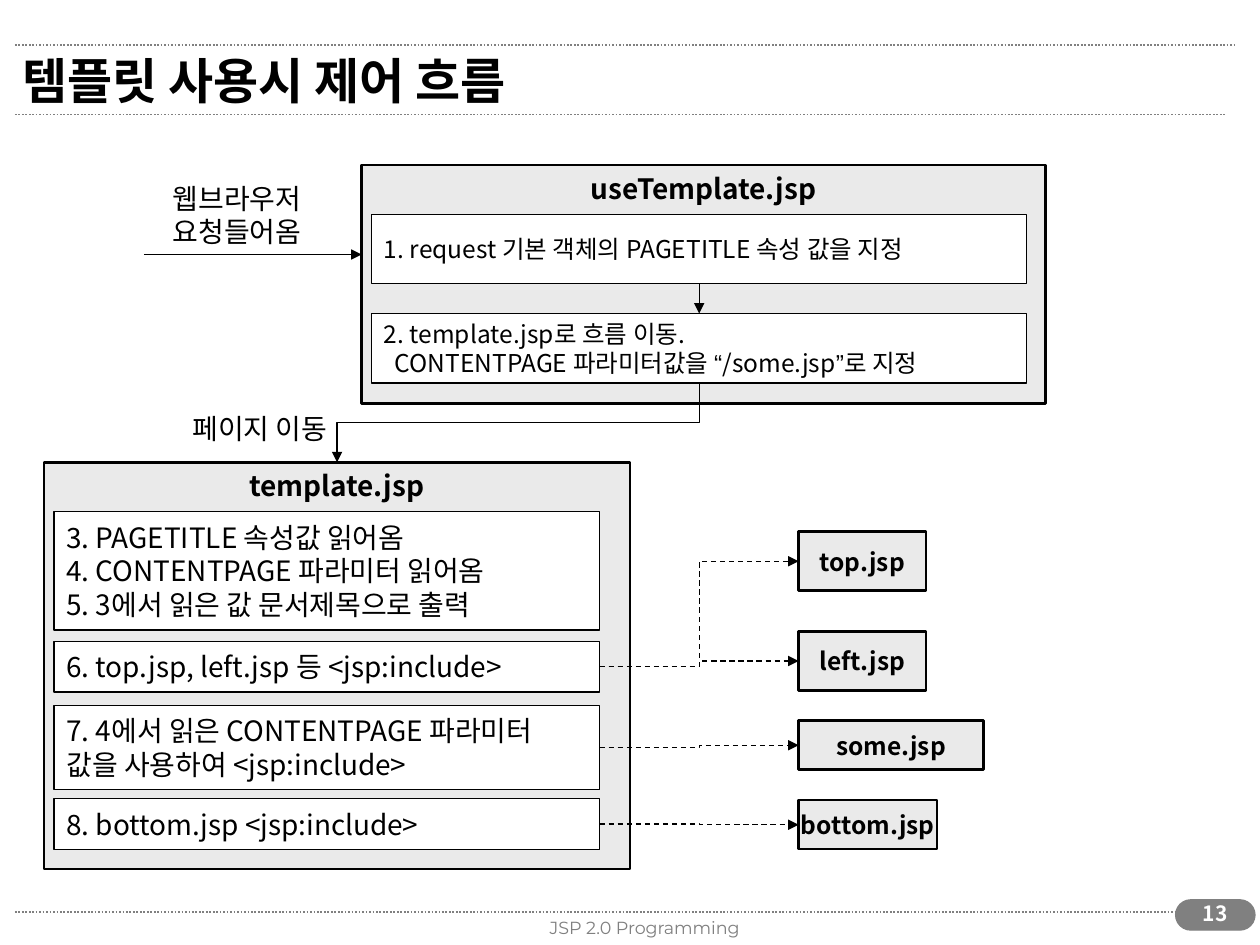
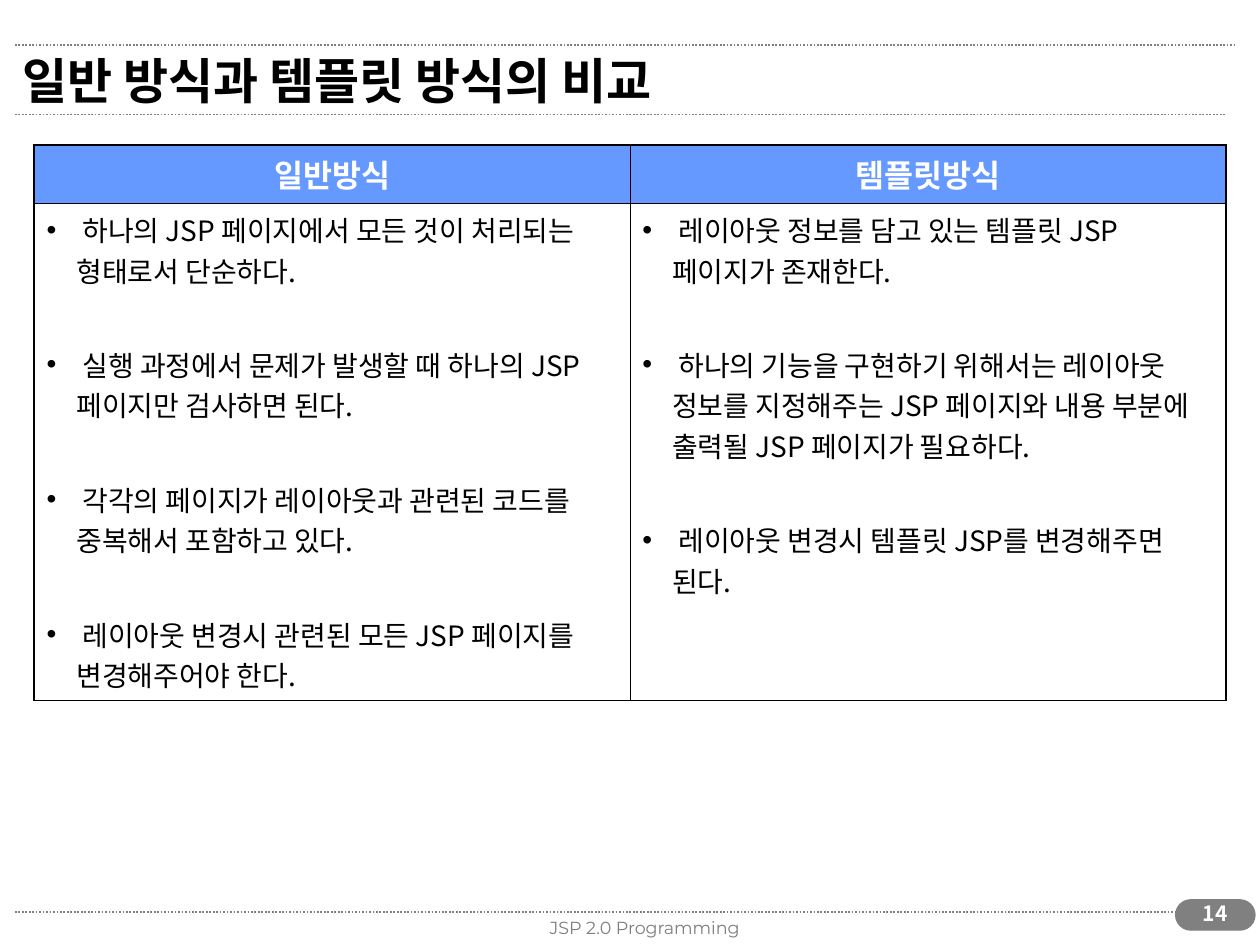
from itertools import groupby

from lxml.etree import SubElement
from pptx import Presentation
from pptx.dml.color import RGBColor
from pptx.enum.dml import MSO_LINE
from pptx.enum.shapes import MSO_CONNECTOR, MSO_SHAPE
from pptx.enum.text import MSO_ANCHOR, PP_ALIGN
from pptx.oxml import parse_xml
from pptx.oxml.ns import nsdecls, qn
from pptx.util import Cm, Pt

FONT, QUOTE_FONT, FOOTER_FONT = "Noto Sans CJK KR", "Arial", "Montserrat"
BLACK, WHITE, GRAY, PALE, BLUE = "000000", "FFFFFF", "808080", "EAEAEA", "6699FF"
LEFT, CENTER = PP_ALIGN.LEFT, PP_ALIGN.CENTER

FOOTER = "JSP 2.0 Programming"
RULES = [(18.39, 24.71), (2.31, 24.69), (0.91, 24.89)]

FLOW_TITLE = "템플릿 사용시 제어 흐름"
FRAMES = [
    ("useTemplate.jsp", (7.29, 3.33, 13.79, 4.8)),
    ("template.jsp", (0.89, 9.32, 11.81, 8.2)),
]
REQUEST_STEPS = [
    (["1. request 기본 객체의 PAGETITLE 속성 값을 지정"], 4.32, 1.4),
    (["2. template.jsp로 흐름 이동.",
      "CONTENTPAGE 파라미터값을 “/some.jsp”로 지정"], 6.32, 1.4),
]
TEMPLATE_STEPS = [
    (["3. PAGETITLE 속성값 읽어옴",
      "4. CONTENTPAGE 파라미터 읽어옴",
      "5. 3에서 읽은 값 문서제목으로 출력"], 10.31, 2.39),
    (["6. top.jsp, left.jsp 등 <jsp:include>"], 12.93, 1.02),
    (["7. 4에서 읽은 CONTENTPAGE 파라미터",
      "값을 사용하여 <jsp:include>"], 14.22, 1.7),
    (["8. bottom.jsp <jsp:include>"], 16.1, 1.02),
]
INCLUDED = [
    ("top.jsp", 10.72, 2.57, 1.19, 1),
    ("left.jsp", 12.73, 2.57, 1.19, 1),
    ("some.jsp", 14.53, 3.73, 0.99, 2),
    ("bottom.jsp", 16.13, 2.79, 0.99, 3),
]
LABELS = [
    (["웹브라우저", "요청들어옴"], (3.23, 3.53, 3.1, 1.63), CENTER),
    (["페이지 이동"], (3.63, 8.18, 3.25, 0.94), LEFT),
]

COMPARE_TITLE = "일반 방식과 템플릿 방식의 비교"
COMPARISON = {
    "일반방식": [
        " 하나의 JSP 페이지에서 모든 것이 처리되는 형태로서 단순하다.",
        " 실행 과정에서 문제가 발생할 때 하나의 JSP 페이지만 검사하면 된다.",
        " 각각의 페이지가 레이아웃과 관련된 코드를 중복해서 포함하고 있다.",
        " 레이아웃 변경시 관련된 모든 JSP 페이지를 변경해주어야 한다.",
    ],
    "템플릿방식": [
        " 레이아웃 정보를 담고 있는 템플릿 JSP 페이지가 존재한다.",
        " 하나의 기능을 구현하기 위해서는 레이아웃 정보를 지정해주는 JSP 페이지와 "
        "내용 부분에 출력될 JSP 페이지가 필요하다.",
        " 레이아웃 변경시 템플릿 JSP를 변경해주면 된다.",
    ],
}


def rgb(color):
    return RGBColor.from_string(color)


def apply(obj, **values):
    for name, value in values.items():
        setattr(obj, name, value)


def write(tf, lines, size, color=BLACK, bold=False, align=LEFT, font=FONT, **para):
    for i, line in enumerate(lines):
        p = tf.paragraphs[0] if i == 0 else tf.add_paragraph()
        apply(p, alignment=align, **para)
        for quoted, chars in groupby(line, lambda c: c in "“”"):
            r = p.add_run()
            r.text = "".join(chars)
            face = QUOTE_FONT if quoted else font
            apply(r.font, name=face, size=Pt(size), bold=bold)
            r.font.color.rgb = rgb(color)
            SubElement(r.font._element, qn("a:ea")).set("typeface", face)


def add_text(s, box, lines, size, anchor=MSO_ANCHOR.TOP, wrap=True, **style):
    tf = s.shapes.add_textbox(*map(Cm, box)).text_frame
    apply(tf, word_wrap=wrap, vertical_anchor=anchor)
    write(tf, lines, size, **style)


def add_box(s, box, lines, size, fill, line=BLACK, width=0.75, kind=MSO_SHAPE.RECTANGLE,
            anchor=MSO_ANCHOR.MIDDLE, **style):
    sp = s.shapes.add_shape(kind, *map(Cm, box))
    sp.shadow.inherit = False
    sp.fill.solid()
    sp.fill.fore_color.rgb = rgb(fill)
    sp.line.color.rgb = rgb(line)
    sp.line.width = Pt(width)
    apply(sp.text_frame, word_wrap=False, vertical_anchor=anchor)
    write(sp.text_frame, lines, size, **style)
    return sp


def add_line(s, start, end, color=BLACK, width=0.75, dash=None, elbow=False, arrow=True):
    kind = MSO_CONNECTOR.ELBOW if elbow else MSO_CONNECTOR.STRAIGHT
    c = s.shapes.add_connector(kind, *map(Cm, start + end))
    c.line.color.rgb = rgb(color)
    apply(c.line, width=Pt(width), dash_style=dash)
    if arrow:
        SubElement(c.line._get_or_add_ln(), qn("a:tailEnd")).set("type", "triangle")
    SubElement(c._element.spPr, qn("a:effectLst"))
    return c


def add_drop(s, start, end):
    (x1, y1), (x2, y2) = start, end
    cx, cy = (x1 + x2) / 2, (y1 + y2) / 2
    half_w, half_h = (y2 - y1) / 2, (x1 - x2) / 2
    c = add_line(s, (cx - half_w, cy - half_h), (cx + half_w, cy + half_h), elbow=True)
    c._element.spPr.find(qn("a:xfrm")).set("rot", "5400000")


def add_base(prs, title, number):
    s = prs.slides.add_slide(prs.slide_layouts[6])
    for y, right in RULES:
        add_line(s, (0.3, y), (right, y), GRAY, 1, MSO_LINE.ROUND_DOT, arrow=False)
    badge = add_box(s, (23.7, 18.14, 1.6, 0.61), [], 12, GRAY, GRAY,
                    kind=MSO_SHAPE.ROUNDED_RECTANGLE)
    badge.adjustments[0] = 0.5
    add_text(s, (8.97, 18.36, 8.05, 0.51), [FOOTER], 10, color=GRAY, align=CENTER,
             font=FOOTER_FONT)
    add_text(s, (23.8, 18.03, 1.4, 0.86), [str(number)], 12, color=WHITE, bold=True,
             align=CENTER)
    add_text(s, (0.2, 0.71, 23.11, 1.8), [title], 28, MSO_ANCHOR.MIDDLE, bold=True)
    return s


def build_flow(prs):
    s = add_base(prs, FLOW_TITLE, 13)
    for name, box in FRAMES:
        add_box(s, box, [name], 16, PALE, width=1.5, anchor=MSO_ANCHOR.TOP, bold=True,
                align=CENTER)
    step_x, step_w = 7.49, 13.21
    for lines, y, h in REQUEST_STEPS:
        sp = add_box(s, (step_x, y, step_w, h), lines, 14, WHITE)
        for p in sp.text_frame.paragraphs[1:]:
            p._p.get_or_add_pPr().set("marL", str(Cm(0.22)))
    for lines, y, h in TEMPLATE_STEPS:
        add_box(s, (1.09, y, 11, h), lines, 16, WHITE)
    for lines, box, align in LABELS:
        add_text(s, box, lines, 16, wrap=False, align=align)

    for name, y, w, h, source in INCLUDED:
        add_box(s, (16.1, y, w, h), [name], 14, PALE, width=1.5, bold=True, align=CENTER)
        _, step_y, step_h = TEMPLATE_STEPS[source]
        add_line(s, (12.09, step_y + step_h / 2), (16.1, y + h / 2),
                 dash=MSO_LINE.DASH, elbow=True)

    (_, first_y, first_h), (_, second_y, second_h) = REQUEST_STEPS
    mid = step_x + step_w / 2
    x, y, w, _ = FRAMES[1][1]
    add_line(s, (2.9, 5.13), (FRAMES[0][1][0], 5.13))
    add_line(s, (mid, first_y + first_h), (mid, second_y))
    add_drop(s, (mid, second_y + second_h), (x + w / 2, y))


def add_borders(cell, row, col):
    outer, inner = 1.08, 0.45
    widths = {
        "lnL": inner if col else outer,
        "lnR": outer if col else inner,
        "lnT": inner if row else outer,
        "lnB": outer if row else inner,
    }
    tcPr = cell._tc.get_or_add_tcPr()
    for i, (tag, width) in enumerate(widths.items()):
        tcPr.insert(i, parse_xml(
            f'<a:{tag} {nsdecls("a")} w="{Pt(width)}"><a:solidFill>'
            f'<a:srgbClr val="{BLACK}"/></a:solidFill></a:{tag}>'))


def add_bullet(p):
    pPr = p._p.get_or_add_pPr()
    pPr.set("marL", str(Cm(0.6)))
    pPr.set("indent", str(-Cm(0.6)))
    SubElement(pPr, qn("a:buFont")).set("typeface", QUOTE_FONT)
    SubElement(pPr, qn("a:buChar")).set("char", "•")


def build_comparison(prs):
    s = add_base(prs, COMPARE_TITLE, 14)
    heights = [1.17, 10.03]
    box = (0.69, 2.92, 24.02, sum(heights))
    table = s.shapes.add_table(2, len(COMPARISON), *map(Cm, box)).table
    apply(table, first_row=False, horz_banding=False)
    for row, height in zip(table.rows, heights):
        row.height = Cm(height)
    for col, (heading, points) in enumerate(COMPARISON.items()):
        head, body = table.cell(0, col), table.cell(1, col)
        for row, cell in enumerate((head, body)):
            apply(cell, margin_left=Cm(0.25), margin_right=Cm(0.25),
                  margin_top=Cm(0.13), margin_bottom=Cm(0.13))
            cell.fill.solid()
            cell.fill.fore_color.rgb = rgb(WHITE if row else BLUE)
            add_borders(cell, row, col)
        write(head.text_frame, [heading], 18, WHITE, True, CENTER, space_before=Pt(4.5))
        write(body.text_frame, points, 16, space_before=Pt(31))
        body.text_frame.paragraphs[0].space_before = Pt(4)
        for p in body.text_frame.paragraphs:
            add_bullet(p)


def main():
    prs = Presentation()
    apply(prs, slide_width=Cm(25.4), slide_height=Cm(19.05))
    build_flow(prs)
    build_comparison(prs)
    prs.save("out.pptx")


if __name__ == "__main__":
    main()
